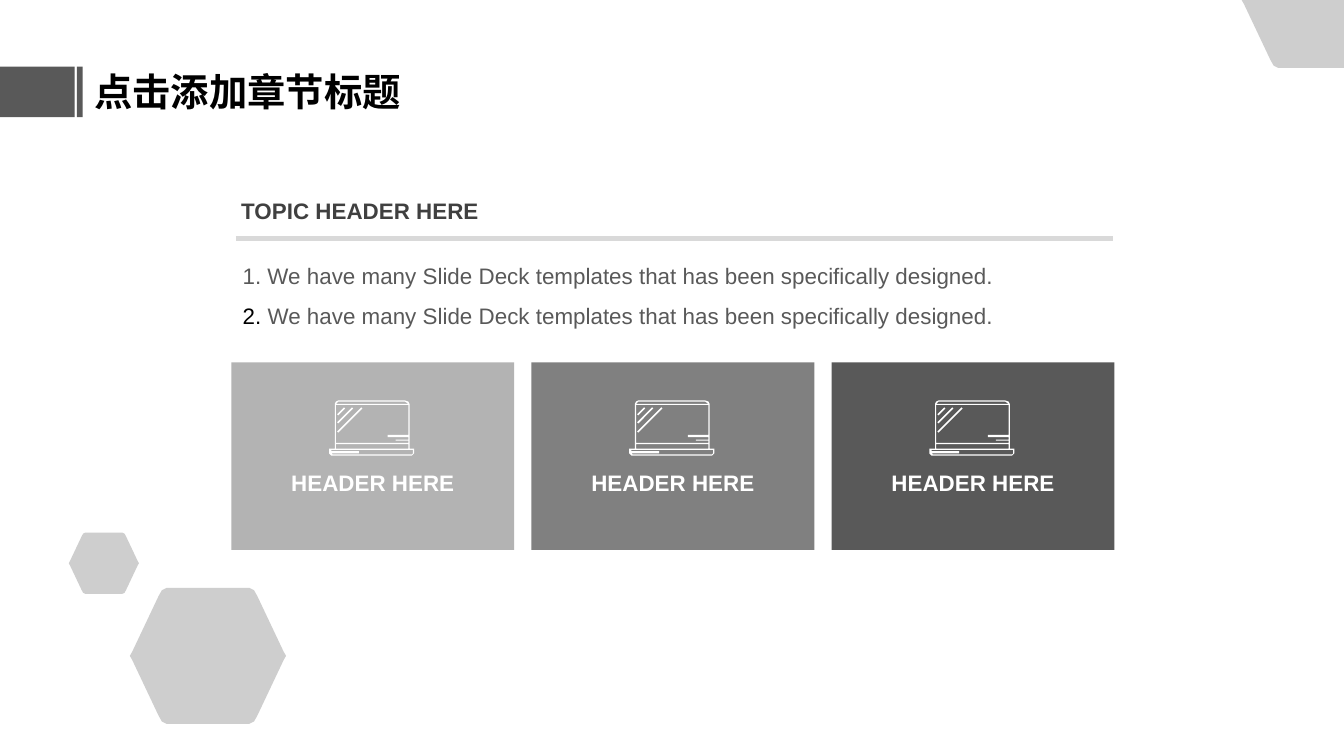
from lxml.etree import SubElement as Sub
from pptx import Presentation
from pptx.dml.color import RGBColor
from pptx.enum.shapes import MSO_CONNECTOR as Link, MSO_SHAPE as Kind
from pptx.enum.text import MSO_ANCHOR as Anchor, PP_ALIGN as Align
from pptx.oxml.ns import qn
from pptx.util import Cm, Pt

WHITE = RGBColor(0xFF, 0xFF, 0xFF)
BLACK = RGBColor(0x00, 0x00, 0x00)
DARK = RGBColor(0x59, 0x59, 0x59)
MID = RGBColor(0x80, 0x80, 0x80)
LIGHT = RGBColor(0xB3, 0xB3, 0xB3)
HEX = RGBColor(0xA6, 0xA6, 0xA6)
RULE = RGBColor(0xD9, 0xD9, 0xD9)
INK = RGBColor(0x40, 0x40, 0x40)


def paint(shape, color):
    shape.shadow.inherit = False
    shape.fill.solid()
    shape.fill.fore_color.rgb = color
    shape.line.fill.background()
    return shape


def write(par, text, color, **style):
    run = par.add_run()
    run.text = text
    run.font.color.rgb = color
    look = {"name": "Arial", "size": Pt(14), "bold": False} | style
    for key, val in look.items():
        setattr(run.font, key, val)
    return run


deck = Presentation()
deck.slide_width, deck.slide_height = Cm(29.69), Cm(16.69)
slide = deck.slides.add_slide(deck.slide_layouts[5])
shapes = slide.shapes

title = shapes.title
place = {"left": Cm(1.83), "top": Cm(1.37), "width": Cm(11.18), "height": Cm(1.3)}
for key, val in place.items():
    setattr(title, key, val)
title.text_frame.vertical_anchor = Anchor.MIDDLE
par = title.text_frame.paragraphs[0]
par.alignment = Align.LEFT
face = "Noto Sans CJK SC"
run = write(par, "点击添加章节标题", BLACK, name=face, size=Pt(24), bold=True)
Sub(run.font._element, qn("a:ea"), typeface=face)

for left, width in ((0, 1.65), (1.7, 0.13)):
    bar = shapes.add_shape(Kind.RECTANGLE, Cm(left), Cm(1.47), Cm(width), Cm(1.12))
    paint(bar, DARK)

rule = shapes.add_connector(Link.STRAIGHT, Cm(5.21), Cm(5.26), Cm(24.59), Cm(5.26))
rule.line.color.rgb = RULE
rule.line.width = Pt(3)
Sub(rule._element.spPr, qn("a:effectLst"))

topic = shapes.add_shape(Kind.RECTANGLE, Cm(5.08), Cm(4.14), Cm(5.77), Cm(0.91))
paint(topic, WHITE)
par = topic.text_frame.paragraphs[0]
par.alignment = Align.LEFT
par.line_spacing = 1.2
write(par, "TOPIC HEADER HERE", INK, bold=True)

body = shapes.add_textbox(Cm(5.11), Cm(5.36), Cm(19.51), Cm(2.06)).text_frame
body.word_wrap = True
body.add_paragraph()
for par, mark, color in zip(body.paragraphs, ("1. ", "2. "), (DARK, BLACK)):
    par.line_spacing = 1.5
    write(par, mark, color)
    write(par, "We have many Slide Deck templates that has been specifically designed.", DARK)

laptop = [
    [(8, 0), (66, 0), (69, 1), (70, 3), (70, 42), (74, 42), (74, 46), (72, 48),
     (2, 48), (0, 46), (0, 42), (5, 42), (5, 3), (6, 1)],
    [(2, 43), (2, 44), (26, 44), (26, 46), (2, 46), (3, 47), (72, 47), (73, 46), (73, 43)],
    [(6, 38), (6, 42), (69, 42), (69, 38)],
    [(6, 4), (6, 37), (69, 37), (69, 35), (58, 35), (58, 34), (69, 34), (69, 32),
     (51, 32), (51, 30), (69, 30), (69, 4)],
    [(8, 1), (6, 3), (69, 3), (66, 1)],
]
for end in (13, 20, 28):
    laptop.append([(end, 6), (end + 1, 7), (8, end), (7, end - 1)])

for col, color in enumerate((LIGHT, MID, DARK)):
    left = 5.11 + 6.63 * col
    card = shapes.add_shape(Kind.RECTANGLE, Cm(left), Cm(8), Cm(6.25), Cm(4.14))
    paint(card, color)
    frame = card.text_frame
    frame.vertical_anchor = Anchor.BOTTOM
    frame.margin_bottom = Cm(1.19)
    par = frame.paragraphs[0]
    par.alignment = Align.CENTER
    par.line_spacing = 1.2
    write(par, "HEADER HERE", WHITE, bold=True)

    pen = shapes.build_freeform(*laptop[0][0], scale=Cm(1.88) / 74)
    pen.add_line_segments(laptop[0][1:])
    for loop in laptop[1:]:
        pen.move_to(*loop[0])
        pen.add_line_segments(loop[1:])
    paint(pen.convert_to_shape(Cm(left + 2.16), Cm(8.84)), WHITE)

edge = [(0, 500), (15, 470), (184, 60), (205, 17), (235, 0)]
top = edge + [(1000 - x, y) for x, y in reversed(edge)]
ring = top + [(x, 1000 - y) for x, y in reversed(top[1:-1])]
for left, head, width, height in (
    (1.52, 11.76, 1.55, 1.35),
    (2.87, 12.98, 3.45, 3),
    (27.43, -1.5, 3.45, 3),
):
    pen = shapes.build_freeform(*ring[0], scale=(Cm(width) / 1000, Cm(height) / 1000))
    pen.add_line_segments(ring[1:])
    cell = paint(pen.convert_to_shape(Cm(left), Cm(head)), HEX)
    tint = cell._element.spPr.find(qn("a:solidFill"))[0]
    Sub(tint, qn("a:alpha"), val="55000")

deck.save("out.pptx")
